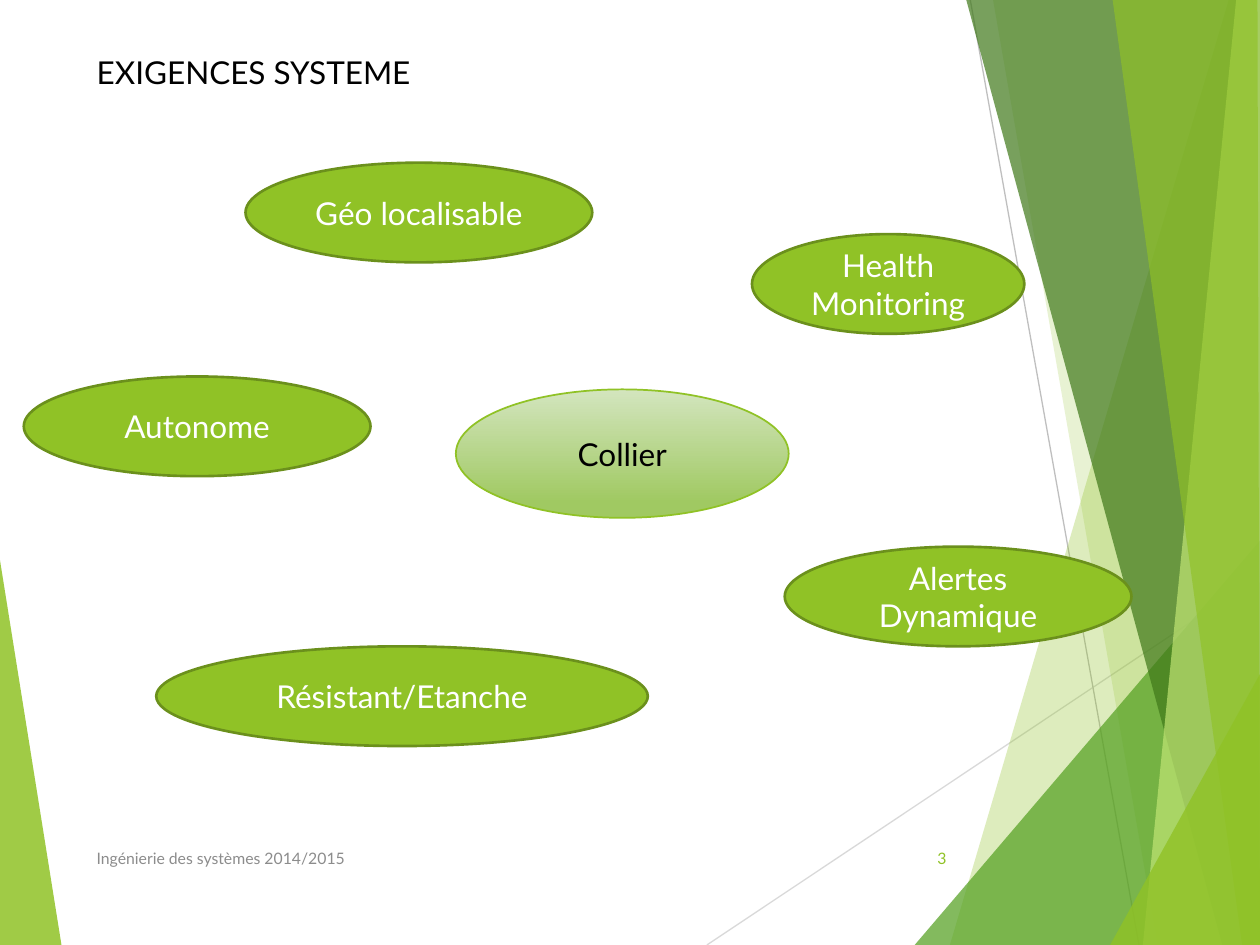
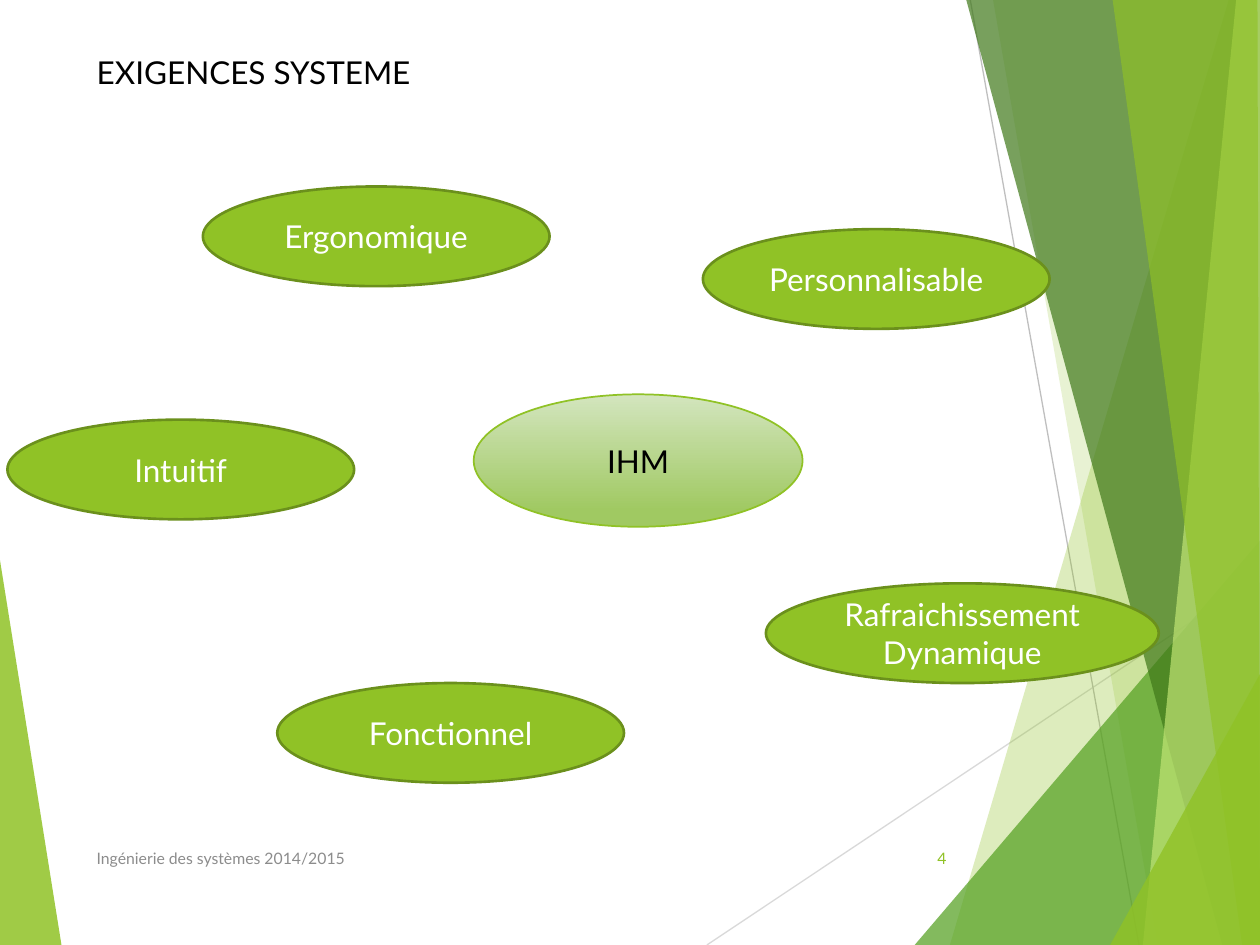
from lxml import etree
from pptx import Presentation
from pptx import util as u
from pptx.dml.color import RGBColor
from pptx.enum import shapes, text
from pptx.oxml import ns

LIME = RGBColor(0x90, 0xC2, 0x26)
OLIVE = RGBColor(0x6B, 0x90, 0x1C)
LEAF = RGBColor(0x54, 0xA0, 0x21)
FOREST = RGBColor(0x3F, 0x78, 0x19)
PALE_LIME = RGBColor(0xC0, 0xE4, 0x74)
CORE_TOP = RGBColor(0xD3, 0xE5, 0xBE)
CORE_BOTTOM = RGBColor(0xA0, 0xC9, 0x62)
LIGHT_GREY = RGBColor(0xD9, 0xD9, 0xD9)
MID_GREY = RGBColor(0xBF, 0xBF, 0xBF)
FOOTER_GREY = RGBColor(0x8C, 0x8C, 0x8C)
BLACK = RGBColor(0, 0, 0)
WHITE = RGBColor(0xFF, 0xFF, 0xFF)

FONT = "Lato"
W, H = 25.4, 19.05
MARGIN = 1.7
FOOTER_TOP = 16.79
LINE_HEIGHT = 1.02
OVAL_W, OVAL_H = 6.99, 2.01

FACETS = [
    (LIME, 85, [(0, 11.29), (1.24, H), (0, H)]),
    (LIME, 30, [(24.77, 0), (19.15, H), (W, H), (W, 0)]),
    (LIME, 20, [(20.02, 0), (23.34, H), (W, H), (W, 0)]),
    (LEAF, 72, [(18.44, H), (W, 10.9), (W, H)]),
    (FOREST, 70, [(19.48, 0), (24.64, H), (W, H), (W, 0)]),
    (PALE_LIME, 70, [(24.92, 0), (23.04, H), (W, H), (W, 0)]),
    (LIME, 65, [(22.43, 0), (25.04, H), (W, H), (25.35, 0)]),
    (LIME, 80, [(22.38, H), (W, 13.59), (W, H)]),
]
RAYS = [
    (LIGHT_GREY, (14.25, H, W, 11.61)),
    (MID_GREY, (19.56, 0, 22.96, H)),
]

TOPICS = [
    (3, ("Collier", 9.19, 7.85, 6.71, 2.59), [
        ("Géo localisable", 4.95, 3.28, OVAL_W),
        ("Health Monitoring", 15.16, 4.72, 5.49),
        ("Résistant/Etanche", 3.15, 13.03, 9.91),
        ("Alertes Dynamique", 15.82, 11.02, OVAL_W),
        ("Autonome", 0.48, 7.59, OVAL_W),
    ]),
    (4, ("IHM", 9.55, 7.95, 6.63, 2.67), [
        ("Ergonomique", 4.09, 3.76, OVAL_W),
        ("Intuitif", 0.15, 8.46, OVAL_W),
        ("Fonctionnel", 5.59, 13.77, OVAL_W),
        ("Rafraichissement Dynamique", 15.44, 11.76, 7.92),
        ("Personnalisable", 14.17, 4.62, OVAL_W),
    ]),
]


def write(holder, words, size=18, color=WHITE, align=text.PP_ALIGN.CENTER,
          anchor=text.MSO_ANCHOR.MIDDLE):
    frame = holder.text_frame
    frame.word_wrap = True
    frame.vertical_anchor = anchor
    paragraph = frame.paragraphs[0]
    paragraph.alignment = align
    run = paragraph.add_run()
    run.text = words
    run.font.name = FONT
    run.font.size = u.Pt(size)
    run.font.color.rgb = color
    return frame


def add_oval(slide, left, top, width, height, outline, weight):
    oval = slide.shapes.add_shape(
        shapes.MSO_SHAPE.OVAL, *map(u.Cm, (left, top, width, height)))
    oval.shadow.inherit = False
    oval.line.color.rgb = outline
    oval.line.width = u.Pt(weight)
    return oval


prs = Presentation()
prs.slide_width, prs.slide_height = u.Cm(W), u.Cm(H)

for number, (subject, *subject_box), requirements in TOPICS:
    slide = prs.slides.add_slide(prs.slide_layouts[6])

    for color, ends in RAYS:
        ray = slide.shapes.add_connector(
            shapes.MSO_CONNECTOR.STRAIGHT, *map(u.Cm, ends))
        ray.line.color.rgb = color
        ray.line.width = u.Pt(0.75)
        etree.SubElement(ray._element.spPr, ns.qn("a:effectLst"))

    for color, opacity, corners in FACETS:
        points = [(u.Cm(x), u.Cm(y)) for x, y in corners]
        outline = slide.shapes.build_freeform(*points[0])
        outline.add_line_segments(points[1:], close=True)
        facet = outline.convert_to_shape()
        facet.shadow.inherit = False
        facet.line.fill.background()
        facet.fill.solid()
        facet.fill.fore_color.rgb = color
        tint = facet._element.spPr.find(".//" + ns.qn("a:srgbClr"))
        etree.SubElement(tint, ns.qn("a:alpha"), val=str(opacity * 1000))

    course = slide.shapes.add_textbox(
        *map(u.Cm, (MARGIN, FOOTER_TOP, 12.85, LINE_HEIGHT)))
    write(course, "Ingénierie des systèmes 2014/2015", size=9,
          color=FOOTER_GREY, align=text.PP_ALIGN.LEFT)
    page = slide.shapes.add_textbox(
        *map(u.Cm, (17.91, FOOTER_TOP, 1.42, LINE_HEIGHT)))
    write(page, str(number), size=9, color=LIME, align=text.PP_ALIGN.RIGHT)

    heading = slide.shapes.add_textbox(
        *map(u.Cm, (MARGIN, 0.94, 10.87, LINE_HEIGHT)))
    heading_frame = write(heading, "EXIGENCES SYSTEME", color=BLACK,
                          align=text.PP_ALIGN.LEFT, anchor=text.MSO_ANCHOR.TOP)
    heading_frame.auto_size = text.MSO_AUTO_SIZE.SHAPE_TO_FIT_TEXT

    core = add_oval(slide, *subject_box, LIME, 1)
    core.fill.gradient()
    core.fill.gradient_angle = 270
    stops = core.fill.gradient_stops
    for stop, color, position in zip(stops, (CORE_TOP, CORE_BOTTOM), (0, 0.88)):
        stop.color.rgb = color
        stop.position = position
    write(core, subject, color=BLACK)

    for requirement, left, top, width in requirements:
        bubble = add_oval(slide, left, top, width, OVAL_H, OLIVE, 1.5)
        bubble.fill.solid()
        bubble.fill.fore_color.rgb = LIME
        write(bubble, requirement)

prs.save("out.pptx")
